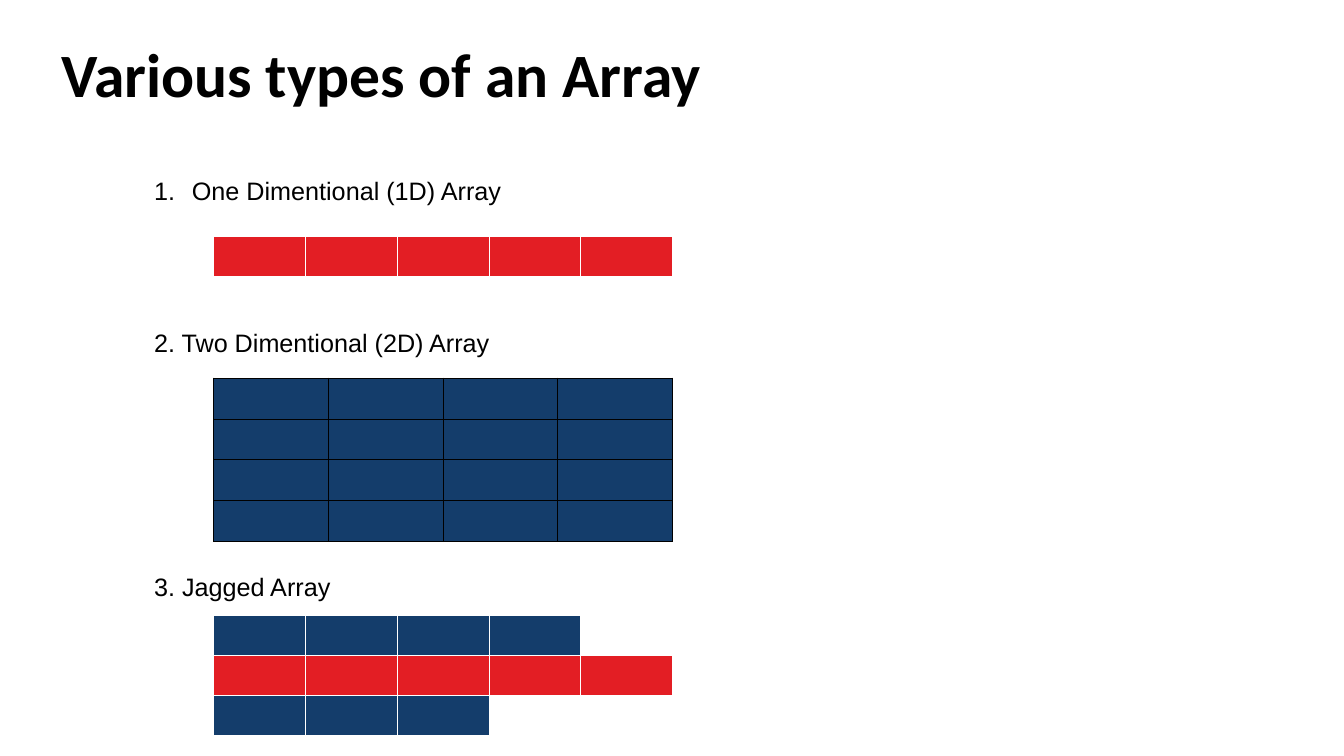
"""Build a slide that shows one-dimensional, two-dimensional and jagged arrays."""
import pptx
import pptx.dml.color
import pptx.enum.text
import pptx.oxml
import pptx.oxml.ns
import pptx.util

Pt = pptx.util.Pt
RGBColor = pptx.dml.color.RGBColor
BLACK = RGBColor(0x00, 0x00, 0x00)
WHITE = RGBColor(0xFF, 0xFF, 0xFF)
RED = RGBColor(0xE3, 0x1E, 0x24)
NAVY = RGBColor(0x14, 0x3D, 0x6B)

TITLE_FORMAT = {"name": "Calibri", "size": Pt(44), "bold": True}
LIST_FORMAT = {"name": "Arial", "size": Pt(18)}
WHITE_BORDER = {"L": (WHITE, 0.45), "R": (WHITE, 0.45), "T": (WHITE, 0.45), "B": (WHITE, 1.47)}
BLACK_BORDER = {side: (BLACK, 0.45) for side in "LRTB"}

GRID_LEFT = 152.6
GRID_WIDTH = 328
CELL_WIDTH = GRID_WIDTH / 5
ROW_HEIGHT = 29.2
JAGGED_TOP = 439.6
JAGGED_STEP = 28.6
JAGGED_ROWS = [(4, NAVY), (5, RED), (3, NAVY)]
HEADINGS = [
    ("One Dimentional (1D) Array", 0),
    ("2. Two Dimentional (2D) Array", 87.2),
    ("3. Jagged Array", 152.4),
]


class ArraySlide:
    def __init__(self, page):
        self.page = page

    def text_box(self, left, top, width, height, frame_format):
        box = self.page.shapes.add_textbox(Pt(left), Pt(top), Pt(width), Pt(height))
        for name, value in {"word_wrap": True, **frame_format}.items():
            setattr(box.text_frame, name, value)
        return box.text_frame

    def add_span(self, para, text, text_format):
        span = para.add_run()
        span.text = text
        for name, value in text_format.items():
            setattr(span.font, name, value)
        span.font.color.rgb = BLACK

    def title(self, text):
        middle = pptx.enum.text.MSO_ANCHOR.MIDDLE
        frame = self.text_box(36.7, 28.8, 828, 52.6, {"vertical_anchor": middle})
        para = frame.paragraphs[0]
        para.line_spacing = 0.9
        self.add_span(para, text, TITLE_FORMAT)

    def headings(self, entries):
        frame = self.text_box(67, 54.7, 540.7, 396, {"margin_top": Pt(70.6)})
        for index, (text, gap) in enumerate(entries):
            para = frame.add_paragraph() if index else frame.paragraphs[0]
            para.space_before = Pt(gap)
            self.add_span(para, text, LIST_FORMAT)
            properties = para._p.get_or_add_pPr()
            properties.set("marL", str(Pt(63)))
            properties.set("indent", str(Pt(-27)))
        number = pptx.oxml.parse_xml(
            f'<a:buAutoNum {pptx.oxml.ns.nsdecls("a")} type="arabicPeriod"/>')
        frame.paragraphs[0]._p.get_or_add_pPr().append(number)

    def border(self, cell, borders):
        properties = cell._tc.get_or_add_tcPr()
        for index, (side, (color, width)) in enumerate(borders.items()):
            line = pptx.oxml.parse_xml(
                f'<a:ln{side} {pptx.oxml.ns.nsdecls("a")} w="{Pt(width)}">'
                f'<a:solidFill><a:srgbClr val="{color}"/></a:solidFill></a:ln{side}>')
            properties.insert(index, line)

    def grid(self, top, rows, columns, cell_width, color, borders):
        frame = self.page.shapes.add_table(
            rows, columns, Pt(GRID_LEFT), Pt(top),
            Pt(cell_width * columns), Pt(ROW_HEIGHT * rows))
        table = frame.table
        table.first_row = table.horz_banding = False
        for cell in table.iter_cells():
            cell.margin_top = cell.margin_bottom = 0
            cell.fill.solid()
            cell.fill.fore_color.rgb = color
            self.border(cell, borders)


def main():
    deck = pptx.Presentation()
    deck.slide_width, deck.slide_height = Pt(960.5), Pt(540)
    slide = ArraySlide(deck.slides.add_slide(deck.slide_layouts[6]))
    slide.headings(HEADINGS)
    slide.grid(168.5, 1, 5, CELL_WIDTH, RED, WHITE_BORDER)
    slide.grid(270, 4, 4, GRID_WIDTH / 4, NAVY, BLACK_BORDER)
    for index, (columns, color) in enumerate(JAGGED_ROWS):
        top = JAGGED_TOP + index * JAGGED_STEP
        slide.grid(top, 1, columns, CELL_WIDTH, color, WHITE_BORDER)
    slide.title("Various types of an Array")
    deck.save("out.pptx")


if __name__ == "__main__":
    main()
